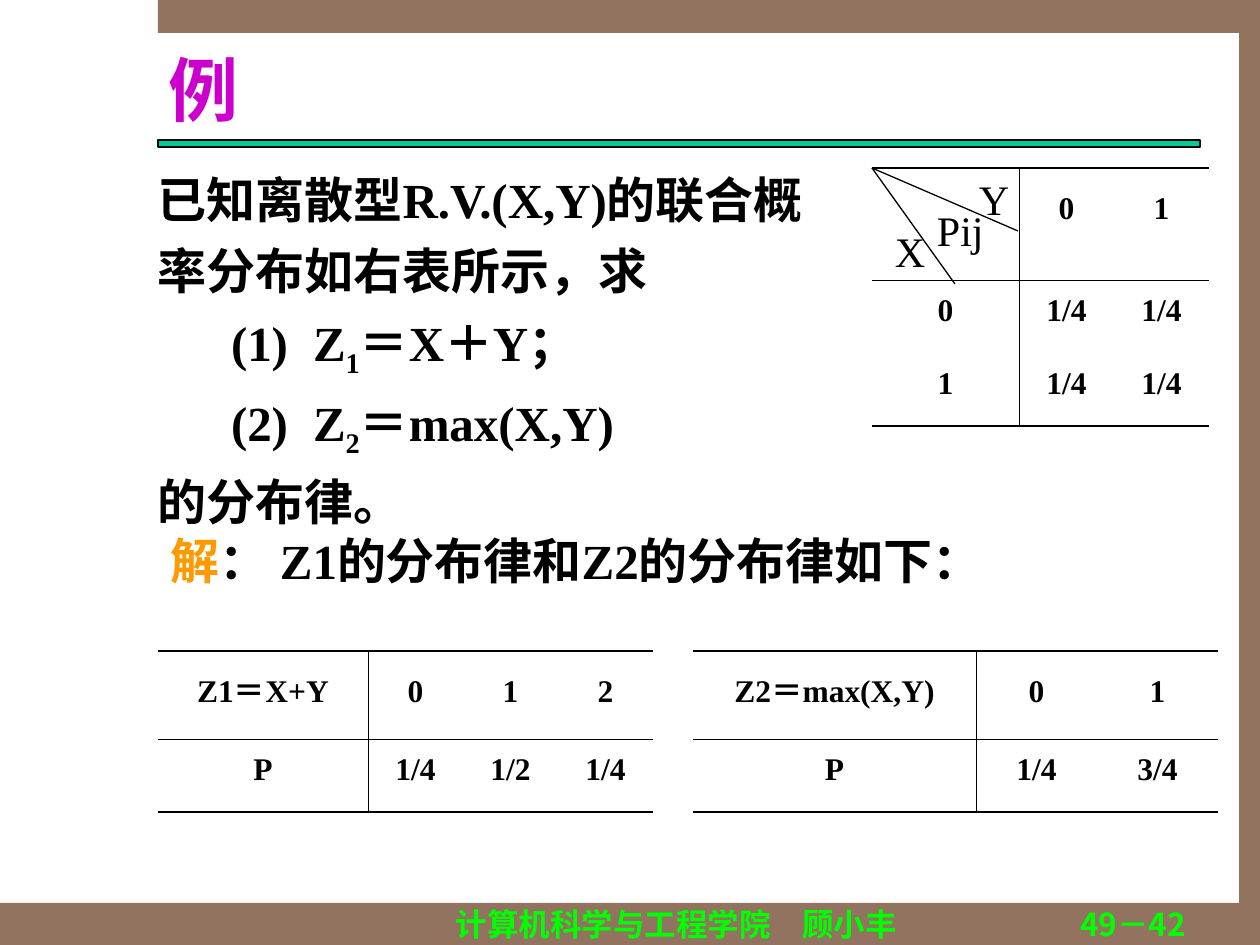
from lxml.etree import SubElement
from pptx import Presentation
from pptx.dml.color import RGBColor
from pptx.enum.shapes import MSO_CONNECTOR, MSO_SHAPE
from pptx.enum.text import MSO_ANCHOR, MSO_AUTO_SIZE, PP_ALIGN
from pptx.oxml.ns import qn
from pptx.util import Emu, Pt

PX = 914400 / 126
SERIF = "Times New Roman"
CJK = "Noto Sans CJK SC"
BROWN, BLACK, GREEN = "91735F", "000000", "00FF00"
THICK, THIN = 1.08, 0.45


def px(*lengths):
    return [Emu(round(length * PX)) for length in lengths]


def color(hex_string):
    return RGBColor.from_string(hex_string)


def format_run(run, size, hex_color=BLACK, bold=True, name=SERIF):
    run.font.size = Pt(size)
    run.font.bold = bold
    run.font.name = name
    run.font.color.rgb = color(hex_color)
    SubElement(run._r.get_or_add_rPr(), qn("a:ea"), typeface=CJK)


def add_bar(slide, box, fill, line=None):
    shape = slide.shapes.add_shape(MSO_SHAPE.RECTANGLE, *px(*box))
    shape.shadow.inherit = False
    shape.fill.solid()
    shape.fill.fore_color.rgb = color(fill)
    if line:
        shape.line.color.rgb = color(line)
        shape.line.width = Pt(0.75)
    else:
        shape.line.fill.background()


def set_margins(text_frame, horizontal, vertical):
    text_frame.margin_left, text_frame.margin_right = px(horizontal, horizontal)
    text_frame.margin_top, text_frame.margin_bottom = px(vertical, vertical)


def add_text_box(slide, box, inset=False):
    text_frame = slide.shapes.add_textbox(*px(*box)).text_frame
    text_frame.word_wrap = True
    set_margins(text_frame, *((13, 6) if inset else (0, 0)))
    return text_frame


def add_label(slide, box, text, size, align=PP_ALIGN.LEFT, inset=False, **style):
    text_frame = add_text_box(slide, box, inset)
    text_frame.text = text
    paragraph = text_frame.paragraphs[0]
    paragraph.alignment = align
    format_run(paragraph.runs[0], size, **style)


def fill_title(slide, text):
    title = slide.shapes.title
    title.left, title.top, title.width, title.height = px(168, 47, 1029, 84)
    text_frame = title.text_frame
    text_frame.text = text
    text_frame.auto_size = MSO_AUTO_SIZE.NONE
    text_frame.vertical_anchor = MSO_ANCHOR.MIDDLE
    set_margins(text_frame, 0, 0)
    text_frame.paragraphs[0].alignment = PP_ALIGN.LEFT
    format_run(text_frame.paragraphs[0].runs[0], 40, "CC00CC")


def add_tab_stops(paragraph, *positions):
    tab_list = SubElement(paragraph._p.get_or_add_pPr(), qn("a:tabLst"))
    for position in px(*positions):
        SubElement(tab_list, qn("a:tab"), pos=str(position), algn="l")


def add_problem(slide, box, lines):
    text_frame = add_text_box(slide, box)
    for index, parts in enumerate(lines):
        paragraph = text_frame.add_paragraph() if index else text_frame.paragraphs[0]
        paragraph.line_spacing = 1.2
        if len(parts) > 1:
            add_tab_stops(paragraph, 73, 155)
        for position, part in enumerate(parts):
            run = paragraph.add_run()
            run.text = part
            format_run(run, 28)
            if position == 1:
                run._r.get_or_add_rPr().set("baseline", "-25000")


def add_answer(slide, box, heading, text):
    text_frame = add_text_box(slide, box, inset=True)
    for part, hex_color in ((heading, "FF9900"), (text, BLACK)):
        run = text_frame.paragraphs[0].add_run()
        run.text = part
        format_run(run, 28, hex_color)


def set_borders(cell, **widths):
    properties = cell._tc.get_or_add_tcPr()
    for side in "LRTB":
        width = widths.get(side)
        line = SubElement(properties, qn(f"a:ln{side}"), w=str(Pt(width or 0)))
        if width:
            fill = SubElement(line, qn("a:solidFill"))
            SubElement(fill, qn("a:srgbClr"), val=BLACK)
        else:
            SubElement(line, qn("a:noFill"))


def add_distribution(slide, left, top, widths, heights, rows):
    box = px(left, top, sum(widths), sum(heights))
    table = slide.shapes.add_table(len(rows), len(widths), *box).table
    table.first_row = table.horz_banding = False
    for column, width in zip(table.columns, px(*widths)):
        column.width = width
    for row, height in zip(table.rows, px(*heights)):
        row.height = height
    last = len(rows) - 1
    for y, values in enumerate(rows):
        for x, value in enumerate(values):
            cell = table.cell(y, x)
            set_borders(
                cell,
                L=THIN if x == 1 else None,
                R=THIN if x == 0 else None,
                T={0: THICK, 1: THIN}.get(y),
                B=THICK if y == last else THIN if y == 0 else None,
            )
            cell.fill.background()
            cell.text = value
            paragraph = cell.text_frame.paragraphs[0]
            paragraph.alignment = PP_ALIGN.CENTER
            paragraph.line_spacing = 1.5 if y == 0 and x else 1.2
            for run in paragraph.runs:
                format_run(run, 18)


def add_line(slide, *ends):
    connector = slide.shapes.add_connector(MSO_CONNECTOR.STRAIGHT, *px(*ends))
    connector.line.color.rgb = color(BLACK)
    connector.line.width = Pt(0.75)
    SubElement(connector._element.spPr, qn("a:effectLst"))


def main():
    presentation = Presentation()
    presentation.slide_width, presentation.slide_height = px(1260, 945)
    slide = presentation.slides.add_slide(presentation.slide_layouts[5])

    for box in ((0, 903, 1260, 42), (158, 0, 1102, 33), (1239, 32, 21, 871)):
        add_bar(slide, box, BROWN)
    add_bar(slide, (158, 140, 1042, 7), "00CC99", BLACK)
    fill_title(slide, "例")

    add_problem(slide, (158, 158, 672, 444), [
        ["已知离散型R.V.(X,Y)的联合概"],
        ["率分布如右表所示，求"],
        ["\t(1)\tZ", "1", "＝X＋Y；"],
        ["\t(2)\tZ", "2", "＝max(X,Y)"],
        ["的分布律。"],
    ])
    add_answer(slide, (158, 525, 1029, 79), "解", "： Z1的分布律和Z2的分布律如下：")

    add_distribution(slide, 872, 168, [147, 95, 95], [112, 73, 73], [
        ["", "0", "1"],
        ["0", "1/4", "1/4"],
        ["1", "1/4", "1/4"],
    ])
    for text, left, top, width in (("X", 882, 220, 53), ("Y", 966, 168, 53), ("Pij", 924, 199, 73)):
        add_label(slide, (left, top, width, 63), text, 24, inset=True, bold=False)
    for end in ((1018, 231), (955, 284)):
        add_line(slide, 872, 168, *end)

    add_distribution(slide, 158, 651, [210, 95, 95, 95], [88, 73], [
        ["Z1＝X+Y", "0", "1", "2"],
        ["P", "1/4", "1/2", "1/4"],
    ])
    add_distribution(slide, 693, 651, [283, 121, 121], [88, 73], [
        ["Z2＝max(X,Y)", "0", "1"],
        ["P", "1/4", "3/4"],
    ])

    footer = {"hex_color": GREEN, "name": CJK}
    add_label(slide, (388, 905, 577, 38), "计算机科学与工程学院　顾小丰", 18, PP_ALIGN.CENTER, **footer)
    add_label(slide, (976, 905, 210, 38), "49－42", 18, PP_ALIGN.RIGHT, **footer)
    presentation.save("out.pptx")


if __name__ == "__main__":
    main()
